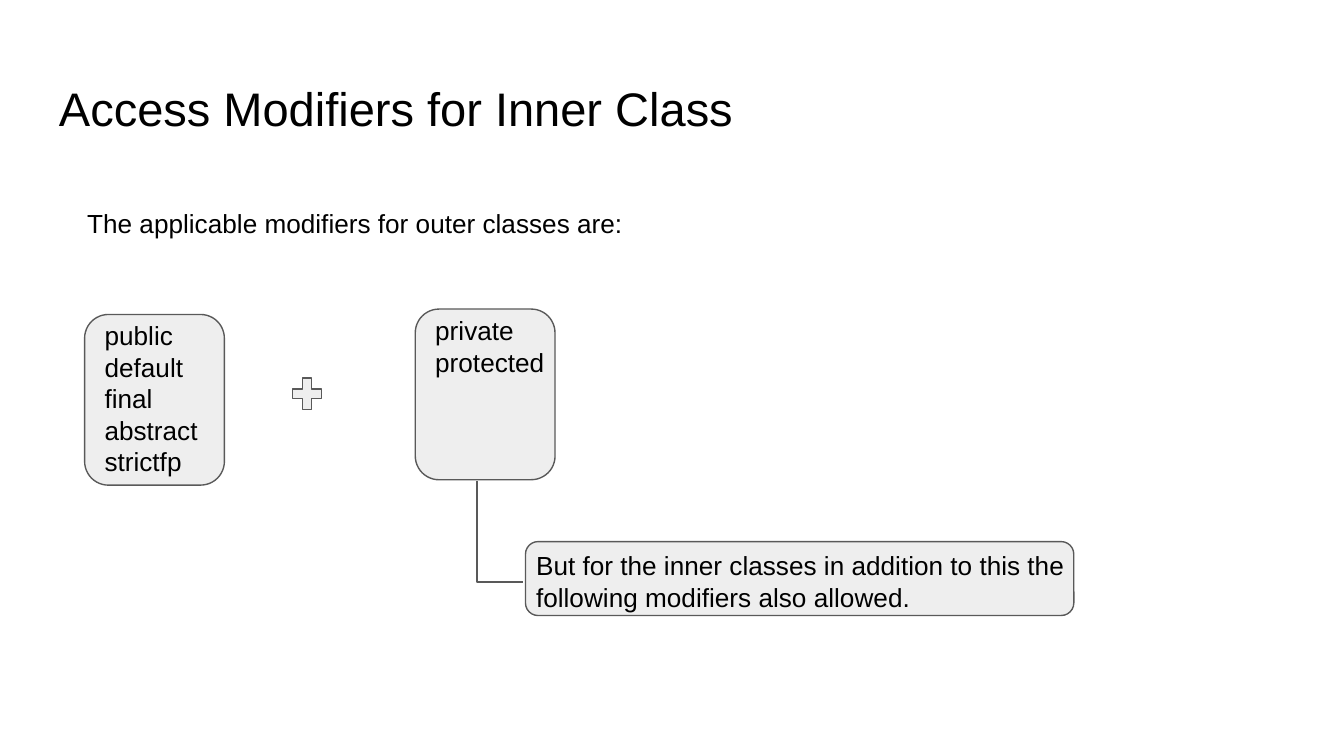
import pptx
import pptx.util
import pptx.dml.color
import pptx.enum.shapes
import pptx.enum.text
import pptx.oxml

COLOURS = {"panel": "EEEEEE", "edge": "595959", "ink": "000000"}
SHAPES = pptx.enum.shapes.MSO_SHAPE


class Page:
    """Style and current slide, measured on a grid of square cells, 100 to the width."""

    cell = 0.1  # inches
    font = "Arial"
    edge_width = 0.75

    def __init__(self, deck):
        self.slide = deck.slides.add_slide(deck.slide_layouts[6])

    def grid(self, *cells):
        return [pptx.util.Inches(count * self.cell) for count in cells]

    def colour(self, name):
        return pptx.dml.color.RGBColor.from_string(COLOURS[name])

    def outline(self, item):
        item.line.color.rgb = self.colour("edge")
        item.line.width = pptx.util.Pt(self.edge_width)

    def panel(self, kind, area, adjustment):
        shape = self.slide.shapes.add_shape(kind, *self.grid(*area))
        shape.shadow.inherit = False
        shape.adjustments[0] = adjustment
        shape.fill.solid()
        shape.fill.fore_color.rgb = self.colour("panel")
        self.outline(shape)

    def text(self, area, lines, size=14):
        box = self.slide.shapes.add_textbox(*self.grid(*area))
        frame = box.text_frame
        inset = self.grid(1)[0]
        frame_format = {
            "word_wrap": True,
            "vertical_anchor": pptx.enum.text.MSO_ANCHOR.TOP,
            "margin_left": inset, "margin_right": inset,
            "margin_top": inset, "margin_bottom": inset,
        }
        for name, value in frame_format.items():
            setattr(frame, name, value)
        for index, line in enumerate(lines):
            para = frame.paragraphs[0] if index == 0 else frame.add_paragraph()
            span = para.add_run()
            span.text = line
            for name, value in {"name": self.font, "size": pptx.util.Pt(size)}.items():
                setattr(span.font, name, value)
            span.font.color.rgb = self.colour("ink")

    def elbow(self, start, end):
        """Run down from start, then right to end."""
        across, down = end[0] - start[0], end[1] - start[1]
        middle_x, middle_y = (start[0] + end[0]) / 2, (start[1] + end[1]) / 2
        # The frame is turned a quarter, so its width is the drop; right to left flips it
        line = self.slide.shapes.add_connector(
            pptx.enum.shapes.MSO_CONNECTOR.ELBOW,
            *self.grid(middle_x + down / 2, middle_y - across / 2,
                       middle_x - down / 2, middle_y + across / 2))
        self.outline(line)
        properties = line._element.spPr
        properties.xfrm.set("rot", str(270 * 60000))
        properties.prstGeom.set("prst", "bentConnector2")
        properties.append(pptx.oxml.parse_xml(
            '<a:effectLst xmlns:a="http://schemas.openxmlformats.org/drawingml/2006/main"/>'))


def main():
    deck = pptx.Presentation()
    deck.slide_width = pptx.util.Inches(10)
    deck.slide_height = deck.slide_width * 9 // 16
    page = Page(deck)

    # Panels behind the note and the outer class modifiers
    page.panel(SHAPES.ROUNDED_RECTANGLE, (39.1, 40.3, 40.8, 5.5), 0.17)
    page.panel(SHAPES.ROUNDED_RECTANGLE, (6.3, 23.4, 10.4, 12.7), 0.17)

    # Title and introduction
    page.text((3.4, 4.9, 93.2, 6.3), ["Access Modifiers for Inner Class"], size=25.2)
    page.text((5.5, 14.4, 45.8, 4.4), ["The applicable modifiers for outer classes are:"])

    # Outer class modifiers plus the extra ones for inner classes
    page.text((6.8, 22.8, 23, 16.2), ["public", "default", "final", "abstract", "strictfp"])
    page.panel(SHAPES.MATH_PLUS, (21.4, 27.7, 2.9, 3.2), 0.24)
    page.panel(SHAPES.ROUNDED_RECTANGLE, (30.9, 23, 10.4, 12.7), 0.17)
    page.text((31.4, 22.4, 23, 9.1), ["private", "protected"])

    # Note and the line that leads to it
    page.text((38.9, 39.9, 45.8, 6.7),
              ["But for the inner classes in addition to this the following modifiers also allowed."])
    page.elbow((35.5, 35.8), (38.9, 43.3))

    deck.save("out.pptx")


if __name__ == "__main__":
    main()
